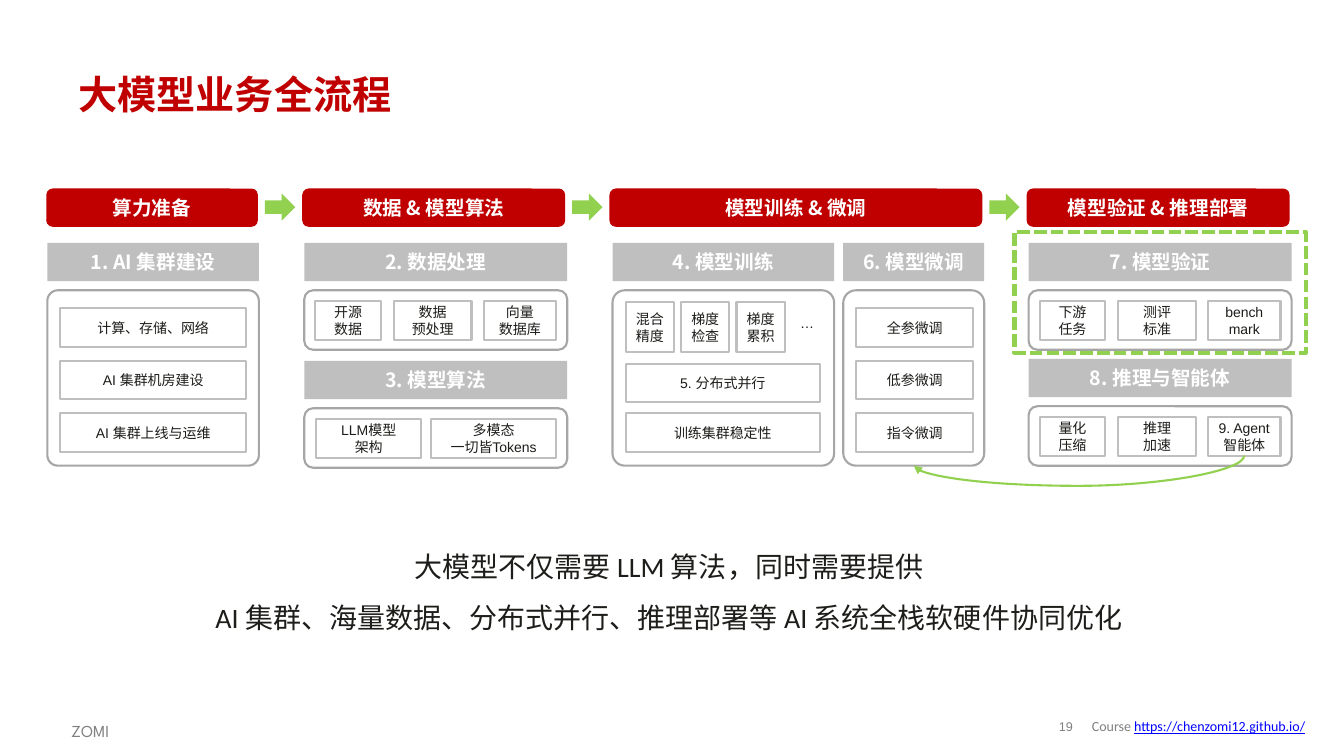
from lxml.etree import SubElement
from pptx import Presentation
from pptx.dml.color import RGBColor
from pptx.enum.dml import MSO_LINE
from pptx.enum.shapes import MSO_CONNECTOR, MSO_SHAPE
from pptx.enum.text import MSO_ANCHOR, PP_ALIGN
from pptx.oxml.ns import qn
from pptx.util import Inches, Pt

COLORS = {"red": "C00000", "green": "92D050", "band": "BFBFBF", "frame": "A6A6A6",
          "ink": "1D1D1A", "white": "FFFFFF", "footer": "808080", "address": "0000FF"}
CJK = "Noto Sans CJK SC"


class PipelineSlide:
    """Draws the elements of the pipeline slide in one shared style."""

    def __init__(self, slide):
        self.shapes = slide.shapes

    def color(self, name):
        return RGBColor.from_string(COLORS[name])

    def style_run(self, run, size, font, color, bold=False):
        run.font.size, run.font.name, run.font.bold = Pt(size), font, bold
        run.font.color.rgb = self.color(color)
        SubElement(run.font._element, qn("a:ea")).set("typeface", CJK)

    def fill_text(self, frame, text, size, font, color, bold=False,
                  align=PP_ALIGN.CENTER, spacing=None):
        frame.text = text
        for paragraph in frame.paragraphs:
            paragraph.alignment = align
            if spacing:
                paragraph.line_spacing = spacing
            for run in paragraph.runs:
                self.style_run(run, size, font, color, bold)

    def shape(self, kind, box, fill=None, line=None, width=1.5):
        shape = self.shapes.add_shape(kind, *map(Inches, box))
        shape.shadow.inherit = False
        if fill:
            shape.fill.solid()
            shape.fill.fore_color.rgb = self.color(fill)
        else:
            shape.fill.background()
        if line:
            shape.line.color.rgb = self.color(line)
            shape.line.width = Pt(width)
        else:
            shape.line.fill.background()
        frame = shape.text_frame
        frame.word_wrap, frame.vertical_anchor = True, MSO_ANCHOR.MIDDLE
        frame.margin_left = frame.margin_right = Inches(0.05)
        return shape

    def stage(self, left, width, text):
        stage = self.shape(MSO_SHAPE.ROUNDED_RECTANGLE, (left, 1.87, width, 0.38), "red")
        self.fill_text(stage.text_frame, text, 14, CJK, "white", True)

    def band(self, left, top, width, text):
        band = self.shape(MSO_SHAPE.RECTANGLE, (left, top, width, 0.38), "band")
        self.fill_text(band.text_frame, text, 14, CJK, "white", True)

    def panel(self, left, top, width, height, rounding):
        panel = self.shape(MSO_SHAPE.ROUNDED_RECTANGLE, (left, top, width, height), line="frame")
        panel.adjustments[0] = rounding

    def task(self, left, top, width, text, height=0.38):
        task = self.shape(MSO_SHAPE.ROUNDED_RECTANGLE, (left, top, width, height), line="band")
        task.adjustments[0] = 0
        self.fill_text(task.text_frame, text, 10, "Arial", "ink")

    def arrow(self, left):
        self.shape(MSO_SHAPE.RIGHT_ARROW, (left, 1.92, 0.3, 0.27), "green")

    def label(self, box, text, size, font, color, anchor=MSO_ANCHOR.TOP, wrap=True,
              margin=None, **style):
        frame = self.shapes.add_textbox(*map(Inches, box)).text_frame
        frame.word_wrap, frame.vertical_anchor = wrap, anchor
        if margin is not None:
            frame.margin_left = frame.margin_right = Inches(margin)
            frame.margin_top = frame.margin_bottom = Inches(margin)
        self.fill_text(frame, text, size, font, color, **style)
        return frame

    def feedback(self):
        feedback = self.shapes.add_connector(
            MSO_CONNECTOR.CURVE, *map(Inches, (10.66, 2.93, 10.76, 6.21)))
        feedback.line.color.rgb = self.color("green")
        feedback.line.width = Pt(1.5)
        properties = feedback._element.spPr
        properties.find(qn("a:xfrm")).set("rot", "5400000")
        geometry = properties.find(qn("a:prstGeom"))
        bend = SubElement(geometry.find(qn("a:avLst")), qn("a:gd"))
        bend.set("name", "adj1")
        bend.set("fmla", "val 300200")
        SubElement(properties.find(qn("a:ln")), qn("a:tailEnd")).set("type", "triangle")
        SubElement(properties, qn("a:effectLst"))


def main():
    deck = Presentation()
    deck.slide_width, deck.slide_height = Inches(13.34), Inches(7.5)
    page = PipelineSlide(deck.slides.add_slide(deck.slide_layouts[6]))

    page.label((0.68, 0.61, 11.99, 0.64), "大模型业务全流程", 28, "League Spartan", "red",
               MSO_ANCHOR.MIDDLE, bold=True, align=PP_ALIGN.LEFT)

    for left, width, text in [(0.46, 2.1, "算力准备"), (3, 2.61, "数据 & 模型算法"),
                              (6.05, 3.7, "模型训练 & 微调"),
                              (10.19, 2.61, "模型验证 & 推理部署")]:
        page.stage(left, width, text)
    for left in (2.63, 5.68, 9.82):
        page.arrow(left)

    for left, width, rounding, text in [(0.47, 2.1, 0.06, "1. AI 集群建设"),
                                        (6.08, 2.2, 0.07, "4. 模型训练"),
                                        (8.37, 1.4, 0.09, "6. 模型微调")]:
        page.band(left, 2.41, width, text)
        page.panel(left, 2.88, width, 1.74, rounding)

    for left, width, tasks in [
            (0.6, 1.84, ["计算、存储、网络", "AI 集群机房建设", "AI 集群上线与运维"]),
            (8.5, 1.16, ["全参微调", "低参微调", "指令微调"])]:
        for row, text in enumerate(tasks):
            page.task(left, 3.06 + 0.52 * row, width, text)

    for column, text in enumerate(["混合精度", "梯度检查", "梯度累积"]):
        page.task(6.21 + 0.55 * column, 3, 0.48, text, 0.49)
    page.label((7.84, 3.07, 0.34, 0.27), "…", 10, "Arial", "ink", wrap=False)
    page.task(6.21, 3.61, 1.93, "5. 分布式并行")
    page.task(6.21, 4.1, 1.93, "训练集群稳定性")

    thirds = [(0.11, 0.65), (0.89, 0.77), (1.78, 0.72)]
    halves = [(0.12, 1.04), (1.26, 1.24)]
    for left, top, heading, slots, tasks in [
            (3.02, 2.41, "2. 数据处理", thirds, ["开源\n数据", "数据\n预处理", "向量\n数据库"]),
            (3.02, 3.58, "3. 模型算法", halves, ["LLM模型\n架构", "多模态\n一切皆Tokens"]),
            (10.21, 2.41, "7. 模型验证", thirds, ["下游\n任务", "测评\n标准", "bench\nmark"]),
            (10.21, 3.56, "8. 推理与智能体", thirds,
             ["量化\n压缩", "推理\n加速", "9. Agent\n智能体"])]:
        page.band(left, top, 2.61, heading)
        page.panel(left, top + 0.47, 2.61, 0.59, 0.15)
        for (offset, width), text in zip(slots, tasks):
            page.task(left + offset, top + 0.58, width, text)

    page.feedback()
    focus = page.shape(MSO_SHAPE.RECTANGLE, (10.07, 2.3, 2.89, 1.2), line="green", width=3)
    focus.line.dash_style = MSO_LINE.SQUARE_DOT

    page.label((0.46, 5.24, 12.36, 1.05),
               "大模型不仅需要 LLM 算法，同时需要提供\n"
               "AI 集群、海量数据、分布式并行、推理部署等 AI 系统全栈软硬件协同优化",
               20, "Calibri", "ink", spacing=1.5)

    page.label((0.61, 7.06, 0.8, 0.32), "ZOMI", 12, "League Spartan", "footer",
               align=PP_ALIGN.LEFT, spacing=1.2)
    page.label((10.4, 7.06, 0.36, 0.31), "19", 9, "Arial", "footer", MSO_ANCHOR.MIDDLE,
               margin=0, spacing=0.85)
    course = page.label((10.74, 7.06, 2.46, 0.29), "Course ", 10, "Calibri", "footer",
                        MSO_ANCHOR.MIDDLE, align=PP_ALIGN.LEFT)
    address = course.paragraphs[0].add_run()
    address.text = "https://chenzomi12.github.io/"
    page.style_run(address, 10, "Calibri", "address")
    address.font.underline = True

    deck.save("out.pptx")


if __name__ == "__main__":
    main()
